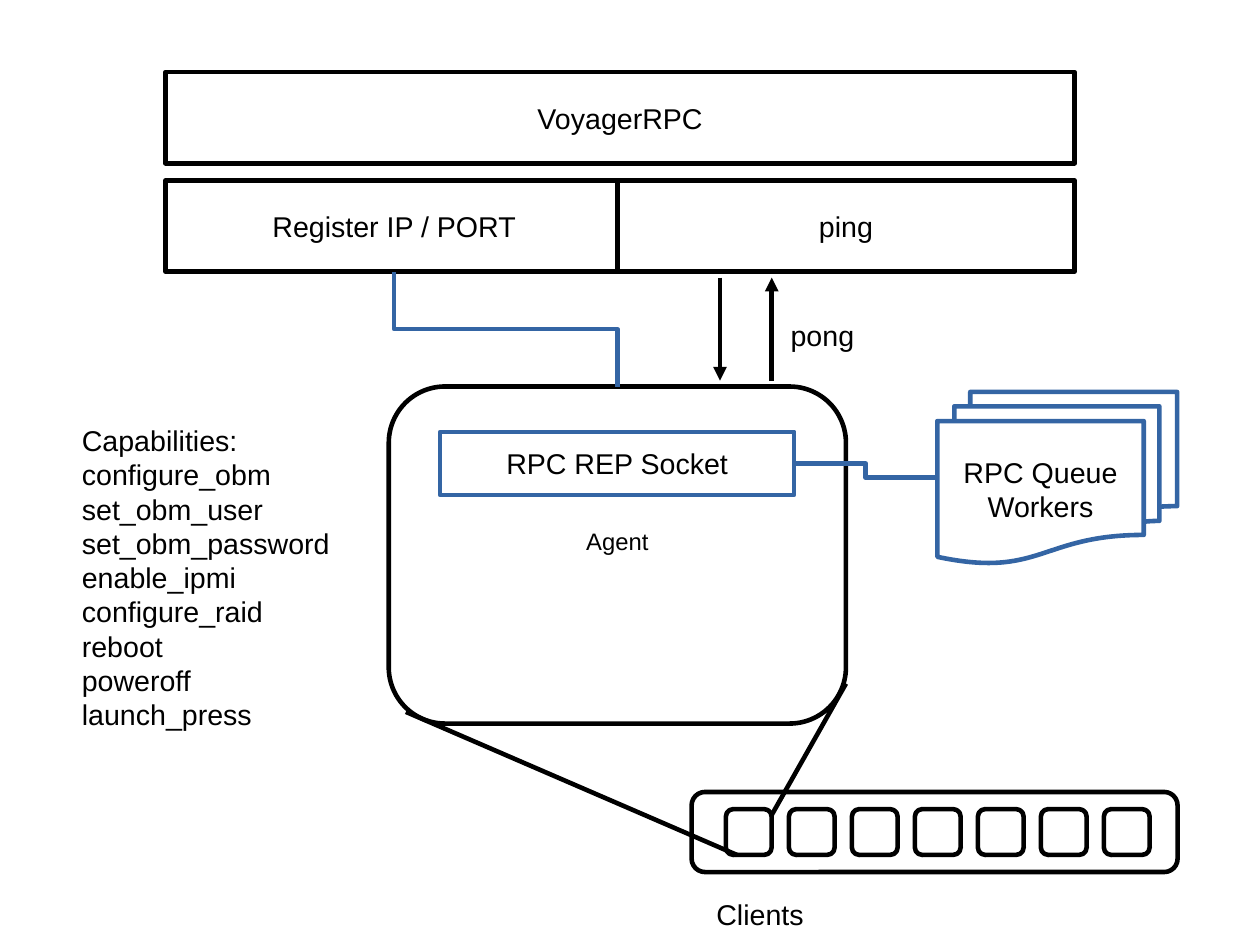
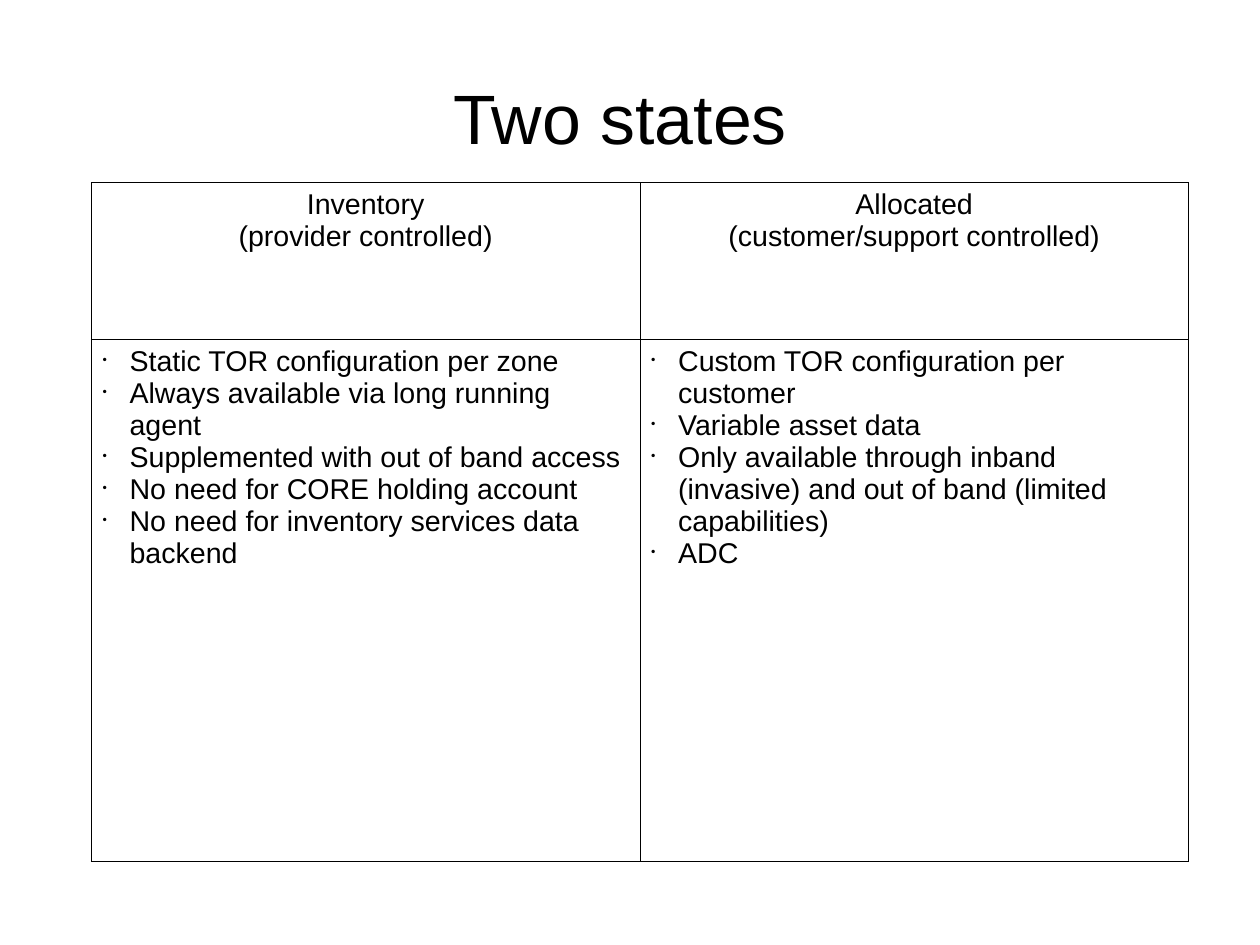
"""Build two slides: an agent architecture diagram and a two-state table."""
from dataclasses import dataclass
from typing import Any, Optional

from lxml import etree
from pptx import Presentation
from pptx.dml.color import RGBColor
from pptx.enum.shapes import MSO_CONNECTOR, MSO_SHAPE
from pptx.enum.text import MSO_ANCHOR, PP_ALIGN
from pptx.oxml.ns import qn
from pptx.util import Cm, Pt

BLACK = RGBColor(0x00, 0x00, 0x00)
WHITE = RGBColor(0xFF, 0xFF, 0xFF)
BLUE = RGBColor(0x34, 0x65, 0xA4)

RECTANGLE = MSO_SHAPE.RECTANGLE
ROUNDED = MSO_SHAPE.ROUNDED_RECTANGLE
DOCUMENTS = MSO_SHAPE.FLOWCHART_MULTIDOCUMENT
STRAIGHT = MSO_CONNECTOR.STRAIGHT
ELBOW = MSO_CONNECTOR.ELBOW
LEFT = PP_ALIGN.LEFT
CENTER = PP_ALIGN.CENTER
TOP = MSO_ANCHOR.TOP
MIDDLE = MSO_ANCHOR.MIDDLE
SIDE_TOP, SIDE_LEFT, SIDE_BOTTOM, SIDE_RIGHT = range(4)

FONT = "Arial"
BODY_SIZE = Pt(18)
LINE_WIDTH = Pt(2.89)
CORNER = 0.167
CLIENT_COUNT = 7
CLIENT_PITCH = 1.4
FRAME_FORMAT = {"margin_left": Cm(0.3), "margin_right": Cm(0.3),
                "margin_top": Cm(0.18), "margin_bottom": Cm(0.18)}
CELL_FORMAT = {"margin_left": Cm(0.25), "margin_right": Cm(0.25),
               "margin_top": Cm(0.13), "margin_bottom": Cm(0.13),
               "vertical_anchor": TOP}
TITLE_FORMAT = {"margin_left": 0, "margin_right": 0, "margin_top": 0,
                "margin_bottom": 0, "vertical_anchor": MIDDLE}

CAPABILITIES = ["Capabilities:", "configure_obm", "set_obm_user",
                "set_obm_password", "enable_ipmi", "configure_raid",
                "reboot", "poweroff", "launch_press"]
STATE_HEADS = [["Inventory", "(provider controlled)"],
               ["Allocated", "(customer/support controlled)"]]
STATE_POINTS = [
    ["Static TOR configuration per zone",
     "Always available via long running agent",
     "Supplemented with out of band access",
     "No need for CORE holding account",
     "No need for inventory services data backend"],
    ["Custom TOR configuration per customer",
     "Variable asset data",
     "Only available through inband (invasive) and out of band "
     "(limited capabilities)",
     "ADC"],
]


@dataclass(frozen=True)
class Box:
    """An outlined shape, measured in centimetres."""
    left: float
    top: float
    width: float
    height: float
    lines: tuple[str, ...] = ()
    kind: Any = RECTANGLE
    color: RGBColor = BLACK
    fill: Optional[RGBColor] = WHITE
    size: Any = BODY_SIZE


@dataclass(frozen=True)
class Label:
    """A plain text block, measured in centimetres."""
    left: float
    top: float
    width: float
    height: float
    lines: tuple[str, ...]


@dataclass(frozen=True)
class Stroke:
    """A straight line, measured in centimetres."""
    start: tuple[float, float]
    end: tuple[float, float]
    arrow: bool = False


def apply(target: Any, values: dict[str, Any]) -> None:
    """Set every named attribute on the target."""
    for name, value in values.items():
        setattr(target, name, value)


def write(frame: Any, lines: Any, align: Any, size: Any = BODY_SIZE) -> None:
    """Fill a text frame with one paragraph per line."""
    for index, line in enumerate(lines):
        para = frame.paragraphs[0] if index == 0 else frame.add_paragraph()
        para.alignment = align
        span = para.add_run()
        span.text = line
        apply(span.font, {"name": FONT, "size": size})
        span.font.color.rgb = BLACK


def draw_box(page: Any, box: Box) -> Any:
    """Draw an outlined shape with its centred text."""
    shape = page.shapes.add_shape(box.kind, Cm(box.left), Cm(box.top),
                                  Cm(box.width), Cm(box.height))
    shape.shadow.inherit = False
    if box.fill is None:
        shape.fill.background()
    else:
        shape.fill.solid()
        shape.fill.fore_color.rgb = box.fill
    shape.line.color.rgb = box.color
    shape.line.width = LINE_WIDTH
    if box.kind == ROUNDED:
        shape.adjustments[0] = CORNER
    apply(shape.text_frame, FRAME_FORMAT | {"vertical_anchor": MIDDLE,
                                           "word_wrap": False})
    write(shape.text_frame, box.lines, CENTER, box.size)
    return shape


def draw_label(page: Any, label: Label, align: Any = LEFT,
               size: Any = BODY_SIZE,
               frame_format: dict[str, Any] = FRAME_FORMAT) -> None:
    """Draw a text block without an outline."""
    frame = page.shapes.add_textbox(Cm(label.left), Cm(label.top),
                                    Cm(label.width), Cm(label.height)).text_frame
    apply(frame, frame_format | {"word_wrap": True})
    write(frame, label.lines, align, size)


def style_connector(connector: Any, color: RGBColor) -> None:
    """Give a connector its colour and width and drop its shadow."""
    connector.line.color.rgb = color
    connector.line.width = LINE_WIDTH
    etree.SubElement(connector.element.spPr, qn("a:effectLst"))


def draw_stroke(page: Any, stroke: Stroke) -> None:
    """Draw a straight line, with an arrowhead at its end if asked."""
    ends = [Cm(value) for value in stroke.start + stroke.end]
    connector = page.shapes.add_connector(STRAIGHT, *ends)
    style_connector(connector, BLACK)
    if stroke.arrow:
        line = connector.element.spPr.find(qn("a:ln"))
        etree.SubElement(line, qn("a:tailEnd"), type="triangle")


def draw_elbow(page: Any, source: Any, source_side: int,
               target: Any, target_side: int) -> None:
    """Join two shapes by an elbow, turned when it leaves downwards."""
    connector = page.shapes.add_connector(ELBOW, 0, 0, 0, 0)
    connector.begin_connect(source, source_side)
    connector.end_connect(target, target_side)
    style_connector(connector, BLUE)
    if source_side == SIDE_BOTTOM:
        across, down = connector.width, connector.height
        shift = (across - down) // 2
        apply(connector, {"left": connector.left + shift,
                          "top": connector.top - shift,
                          "width": down, "height": across})
        frame = connector.element.spPr.find(qn("a:xfrm"))
        frame.set("rot", "16200000")
        frame.set("flipH", "1")


def add_bullet(para: Any) -> None:
    """Give a paragraph a small black bullet and a hanging indent."""
    props = para._p.get_or_add_pPr()
    props.set("marL", str(Cm(0.6)))
    props.set("indent", str(-Cm(0.6)))
    color = etree.SubElement(props, qn("a:buClr"))
    etree.SubElement(color, qn("a:srgbClr"), val=str(BLACK))
    etree.SubElement(props, qn("a:buSzPct"), val="45000")
    etree.SubElement(props, qn("a:buChar"), char="•")


def style_cell(cell: Any) -> None:
    """Give a cell its margins, thin black borders and no fill."""
    apply(cell, CELL_FORMAT)
    props = cell._tc.get_or_add_tcPr()
    for side in ("a:lnL", "a:lnR", "a:lnT", "a:lnB"):
        line = etree.SubElement(props, qn(side), w=str(Pt(0.57)))
        fill = etree.SubElement(line, qn("a:solidFill"))
        etree.SubElement(fill, qn("a:srgbClr"), val=str(BLACK))
    cell.fill.background()


def build_agent_page(page: Any) -> None:
    """Draw the RPC service, the agent, its workers and the clients."""
    draw_box(page, Box(3.68, 1.6, 20.2, 2.03, ("VoyagerRPC",)))
    register = draw_box(page, Box(3.68, 4.01, 10.16, 2.03,
                                  ("Register IP / PORT",)))
    draw_box(page, Box(15.37, 17.6, 10.8, 1.78, kind=ROUNDED, fill=None))
    for index in range(CLIENT_COUNT):
        draw_box(page, Box(16.13 + index * CLIENT_PITCH, 17.98, 1.02, 1.02,
                           kind=ROUNDED, fill=None))
    agent = draw_box(page, Box(8.64, 8.59, 10.16, 7.49, ("Agent",),
                               kind=ROUNDED, size=Pt(15)))
    agent.text_frame.margin_bottom = Cm(0.8)
    draw_box(page, Box(13.72, 4.01, 10.16, 2.03, ("ping",)))
    socket = draw_box(page, Box(9.78, 9.6, 7.87, 1.4, ("RPC REP Socket",),
                                color=BLUE))
    workers = draw_box(page, Box(20.83, 8.71, 5.33, 3.81,
                                 ("RPC Queue", "Workers"),
                                 kind=DOCUMENTS, color=BLUE))
    for stroke in (Stroke((17.15, 18.11), (18.8, 15.19)),
                   Stroke((16.38, 19), (9.02, 15.82)),
                   Stroke((16, 6.17), (16, 8.46), arrow=True),
                   Stroke((17.15, 8.46), (17.15, 6.17), arrow=True)):
        draw_stroke(page, stroke)
    draw_elbow(page, register, SIDE_BOTTOM, agent, SIDE_TOP)
    draw_elbow(page, socket, SIDE_RIGHT, workers, SIDE_LEFT)
    for label in (Label(15.62, 19.76, 5.33, 1.07, ("Clients",)),
                  Label(1.52, 9.22, 6.22, 6.99, tuple(CAPABILITIES)),
                  Label(17.27, 6.88, 2.41, 1.07, ("pong",))):
        draw_label(page, label)


def build_states_page(page: Any) -> None:
    """Draw the title and the table of the two states."""
    draw_label(page, Label(1.4, 0.84, 25.2, 3.5, ("Two states ",)),
               CENTER, Pt(44), TITLE_FORMAT)
    table = page.shapes.add_table(2, 2, Cm(2.03), Cm(4.06),
                                  Cm(24.38), Cm(15.08)).table
    apply(table, {"first_row": False, "horz_banding": False})
    for row, height in zip(table.rows, (3.49, 11.59)):
        row.height = Cm(height)
    for column, (head, points) in enumerate(zip(STATE_HEADS, STATE_POINTS)):
        for row, (lines, align) in enumerate(((head, CENTER), (points, LEFT))):
            cell = table.cell(row, column)
            style_cell(cell)
            write(cell.text_frame, lines, align)
        for para in table.cell(1, column).text_frame.paragraphs:
            add_bullet(para)


def main() -> None:
    """Build and save the deck."""
    deck = Presentation()
    apply(deck, {"slide_width": Cm(28), "slide_height": Cm(21)})
    blank = deck.slide_layouts[6]
    for build in (build_agent_page, build_states_page):
        build(deck.slides.add_slide(blank))
    deck.save("out.pptx")


if __name__ == "__main__":
    main()
